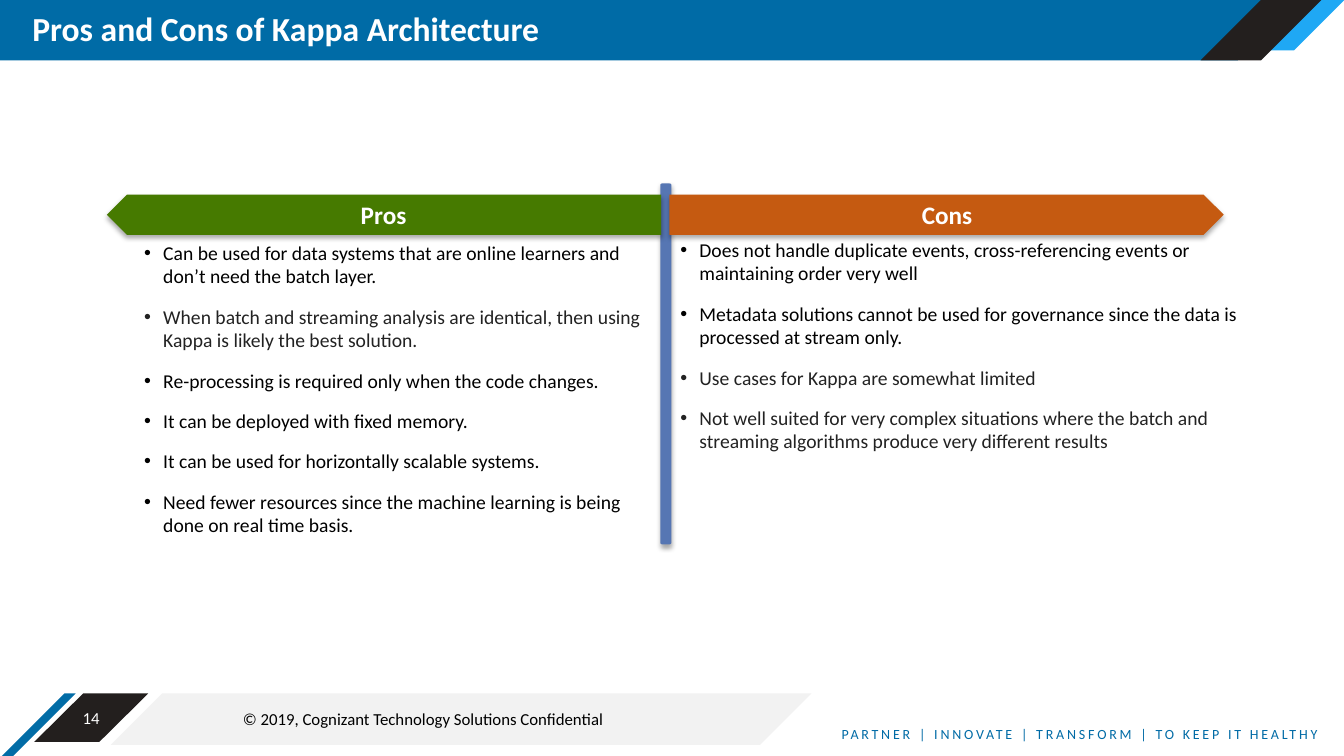
from lxml import etree
from pptx import Presentation
from pptx.dml.color import RGBColor
from pptx.enum.shapes import MSO_SHAPE
from pptx.enum.text import MSO_ANCHOR, MSO_AUTO_SIZE, PP_ALIGN
from pptx.oxml.ns import qn
from pptx.util import Inches, Pt

PARALLELOGRAM = MSO_SHAPE.PARALLELOGRAM
PENTAGON = MSO_SHAPE.PENTAGON
ROUNDED = MSO_SHAPE.ROUNDED_RECTANGLE
LEFT, CENTER = PP_ALIGN.LEFT, PP_ALIGN.CENTER
MIDDLE = MSO_ANCHOR.MIDDLE
NO_AUTOFIT = MSO_AUTO_SIZE.NONE

WIDTH, HEIGHT = Inches(13.333), Inches(7.5)
FONT = "Calibri"
COLORS = {
    "band": "006BA6", "stripe": "026CA6", "sky": "1FA8F4", "ink": "231F1E",
    "pale": "F2F2F2", "divider": "5676B3", "pros": "467A00", "cons": "C55A11",
    "white": "FFFFFF", "black": "000000", "gray": "222222",
}

# Positions are percentages of the slide: left, top, width, height.
FOOTER_TOP = 91.73
ARROW_TOP, ARROW_WIDTH, ARROW_HEIGHT = 25.73, 41.25, 5.33
BAND_OUTLINE = [(0, 0), (95.18, 0), (92.1, 4.4), (92.1, 8), (0, 8)]

PROS = [
    ("Can be used for data systems that are online learners and don’t need the batch layer.", "black"),
    ("When batch and streaming analysis are identical, then using Kappa is likely the best solution.", "gray"),
    ("Re-processing is required only when the code changes.", "black"),
    ("It can be deployed with fixed memory.", "black"),
    ("It can be used for horizontally scalable systems.", "black"),
    ("Need fewer resources since the machine learning is being done on real time basis.", "black"),
]
CONS = [
    ("Does not handle duplicate events, cross-referencing events or maintaining order very well", "black"),
    ("Metadata solutions cannot be used for governance since the data is processed at stream only.", "black"),
    ("Use cases for Kappa are somewhat limited", "gray"),
    ("Not well suited for very complex situations where the batch and streaming algorithms "
     "produce very different results", "gray"),
]


def across(percent):
    return round(WIDTH * percent / 100)


def down(percent):
    return round(HEIGHT * percent / 100)


def to_lengths(box):
    left, top, width, height = box
    return across(left), down(top), across(width), down(height)


def paint(shape, color):
    shape.shadow.inherit = False
    shape.fill.solid()
    shape.fill.fore_color.rgb = RGBColor.from_string(COLORS[color])
    shape.line.fill.background()


def add_preset(slide, preset, box, color, slant=None):
    shape = slide.shapes.add_shape(preset, *to_lengths(box))
    paint(shape, color)
    if slant is not None:
        shape.adjustments[0] = slant
    return shape


def add_band(slide):
    points = [(across(x), down(y)) for x, y in BAND_OUTLINE]
    builder = slide.shapes.build_freeform(*points[0])
    builder.add_line_segments(points[1:], close=True)
    paint(builder.convert_to_shape(), "band")


def drop_shadow(shape, direction=90):
    effects = shape.element.spPr.find(qn("a:effectLst"))
    shadow = etree.SubElement(
        effects, qn("a:outerShdw"), blurRad=str(Pt(3.5)), dist=str(Pt(2.2)),
        dir=str(direction * 60000), rotWithShape="0")
    color = etree.SubElement(shadow, qn("a:srgbClr"), val=COLORS["black"])
    etree.SubElement(color, qn("a:alpha"), val="32000")


def add_run(paragraph, text, size, color, bold=False):
    run = paragraph.add_run()
    run.text = text
    run.font.name = FONT
    run.font.size = Pt(size)
    run.font.bold = bold
    run.font.color.rgb = RGBColor.from_string(COLORS[color])
    return run


def add_text(slide, box, text, size, color, bold=False, align=LEFT, wrap=True):
    frame = slide.shapes.add_textbox(*to_lengths(box)).text_frame
    frame.word_wrap = wrap
    paragraph = frame.paragraphs[0]
    paragraph.alignment = align
    return paragraph, add_run(paragraph, text, size, color, bold)


def add_bullets(slide, box, items):
    frame = slide.shapes.add_textbox(*to_lengths(box)).text_frame
    frame.word_wrap = True
    for index, (text, color) in enumerate(items):
        paragraph = frame.add_paragraph() if index else frame.paragraphs[0]
        paragraph.space_after = Pt(12)
        properties = paragraph._p.get_or_add_pPr()
        properties.set("marL", str(Inches(0.19)))
        properties.set("indent", str(-Inches(0.19)))
        etree.SubElement(properties, qn("a:buFont"), typeface="Arial")
        etree.SubElement(properties, qn("a:buChar"), char="•")
        add_run(paragraph, text, 14, color)


def add_heading(slide, left, text, color, label_left, label_width, rotation=0):
    arrow = add_preset(slide, PENTAGON, (left, ARROW_TOP, ARROW_WIDTH, ARROW_HEIGHT), color)
    arrow.rotation = rotation
    drop_shadow(arrow)
    add_text(slide, (label_left, ARROW_TOP, label_width, ARROW_HEIGHT),
             text, 18, "white", bold=True, align=CENTER)


def add_title(slide, text):
    """Fill the title placeholder and bring it in front of the band."""
    title = slide.shapes.title
    title.left, title.top, title.width, title.height = to_lengths((1.65, 0, 88.05, 8))
    frame = title.text_frame
    frame.auto_size = NO_AUTOFIT
    frame.word_wrap = True
    frame.vertical_anchor = MIDDLE
    paragraph = frame.paragraphs[0]
    paragraph.alignment = LEFT
    paragraph.line_spacing = 0.9
    add_run(paragraph, text, 24, "white", bold=True)
    title.element.getparent().append(title.element)


def add_page_number(slide, number):
    badge = add_preset(slide, PARALLELOGRAM, (2.55, FOOTER_TOP, 8.48, 6.4), "ink", 1.01)
    frame = badge.text_frame
    frame.margin_left = frame.margin_right = frame.margin_top = frame.margin_bottom = 0
    frame.vertical_anchor = MIDDLE
    frame.paragraphs[0].alignment = CENTER
    add_run(frame.paragraphs[0], number, 12, "white")


def add_footer(slide):
    add_preset(slide, PARALLELOGRAM, (8.25, FOOTER_TOP, 52.13, 6.8), "pale", 1)
    add_preset(slide, PARALLELOGRAM, (0.15, FOOTER_TOP, 5.48, 8.27), "stripe", 1)
    add_page_number(slide, "14")
    _, tagline = add_text(slide, (61.88, 95.33, 37.95, 3.6),
                          "PARTNER | INNOVATE | TRANSFORM | TO KEEP IT HEALTHY",
                          10, "band", wrap=False)
    tagline.font._element.set("spc", "200")
    paragraph, _ = add_text(slide, (17.33, 94.27, 31.43, 3.33),
                            "© 2019, Cognizant Technology Solutions Confidential", 12, "black")
    paragraph.line_spacing = 0.5


def add_header(slide):
    add_band(slide)
    add_preset(slide, PARALLELOGRAM, (93.83, 0, 6.2, 6.67), "sky", 1)
    add_preset(slide, PARALLELOGRAM, (89.33, 0, 9, 8), "ink", 1)
    add_title(slide, "Pros and Cons of Kappa Architecture")


def main():
    presentation = Presentation()
    presentation.slide_width, presentation.slide_height = WIDTH, HEIGHT
    slide = presentation.slides.add_slide(presentation.slide_layouts[5])
    add_header(slide)
    add_footer(slide)
    drop_shadow(add_preset(slide, ROUNDED, (49.13, 24.27, 0.83, 47.73), "divider"))
    add_heading(slide, 7.95, "Pros", "pros", 24.9, 7.28, rotation=180)
    add_heading(slide, 49.8, "Cons", "cons", 65.7, 9.53)
    add_bullets(slide, (9.98, 31.2, 38.55, 40.8), PROS)
    add_bullets(slide, (49.88, 30.8, 45.15, 30.13), CONS)
    presentation.save("out.pptx")


if __name__ == "__main__":
    main()
